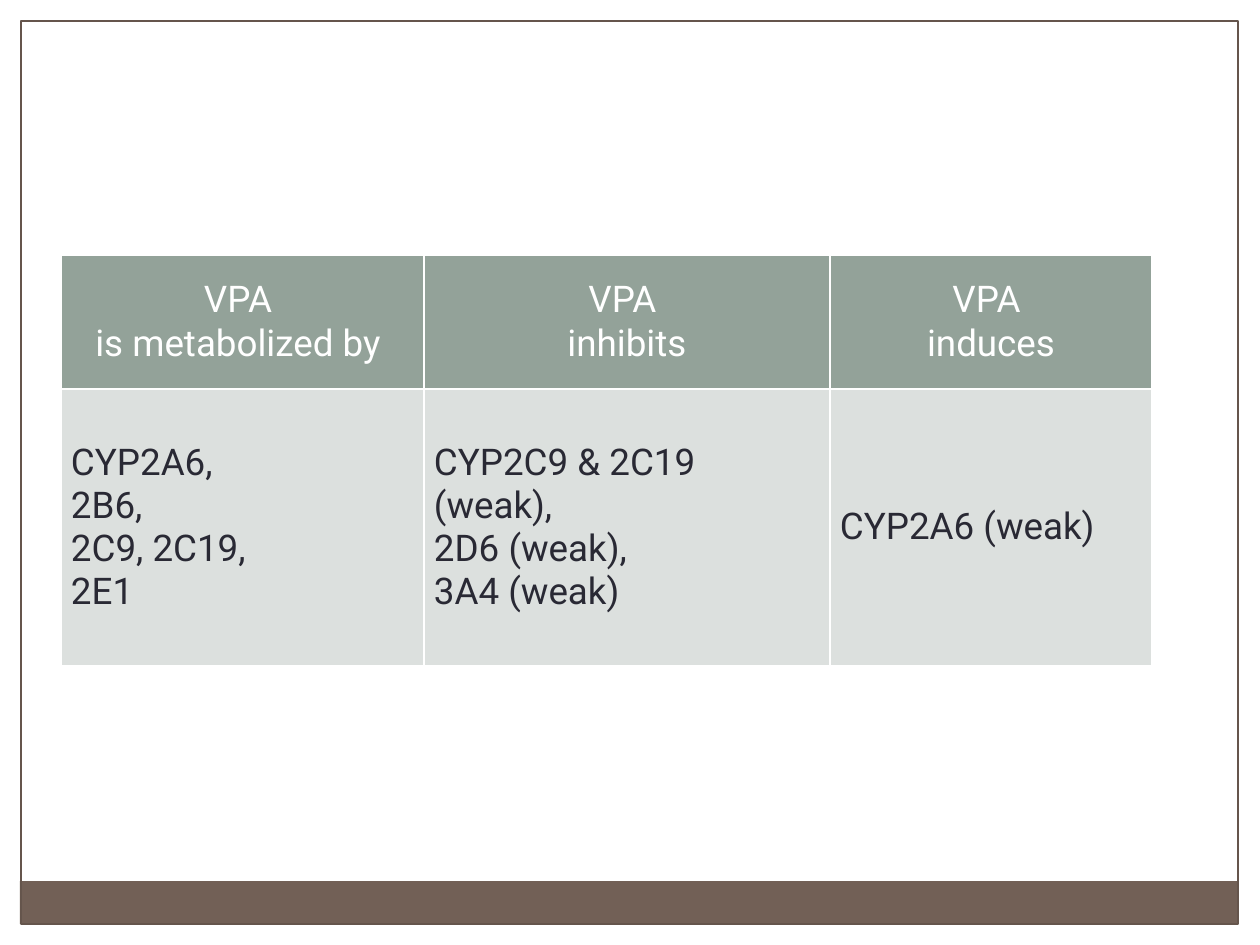
from pptx import Presentation
from pptx.dml.color import RGBColor
from pptx.enum.shapes import MSO_SHAPE as Shape
from pptx.enum.text import MSO_ANCHOR as Anchor, PP_ALIGN as Align
from pptx.oxml import parse_xml
from pptx.oxml.ns import nsdecls
from pptx.util import Emu, Pt

EMU_PER_PX = 914400 / 126
SLIDE_WIDTH, SLIDE_HEIGHT, MARGIN = 1260, 945, 21

WHITE = RGBColor(0xFF, 0xFF, 0xFF)
BROWN = RGBColor(0x72, 0x60, 0x56)
DARK_BROWN = RGBColor(0x65, 0x55, 0x4C)
SAGE = RGBColor(0x93, 0xA2, 0x99)
PALE_SAGE = RGBColor(0xDC, 0xE0, 0xDE)
INK = RGBColor(0x29, 0x29, 0x34)

MARGIN_STRIPS = (
    (0, 0, SLIDE_WIDTH, MARGIN),
    (SLIDE_WIDTH - MARGIN, 0, MARGIN, SLIDE_HEIGHT),
    (0, 0, MARGIN, SLIDE_HEIGHT),
)
COLUMN_WIDTHS = (363, 406, 322)
ROW_HEIGHTS = (134, 277)
ROW_STYLES = (
    {"fill": SAGE, "color": WHITE, "align": Align.CENTER},
    {"fill": PALE_SAGE, "color": INK, "align": Align.LEFT},
)
INTERACTIONS = (
    ("VPA \nis metabolized by ", "VPA \ninhibits", "VPA \ninduces"),
    (
        "CYP2A6,\n2B6,\n2C9, 2C19,\n2E1",
        "CYP2C9 & 2C19  (weak),\n2D6 (weak),\n3A4 (weak)",
        "CYP2A6 (weak)",
    ),
)


def px(length):
    return Emu(round(length * EMU_PER_PX))


def set_attributes(target, values):
    for name, value in values.items():
        setattr(target, name, value)


def add_rectangle(slide, box, fill=None, line=None):
    rectangle = slide.shapes.add_shape(Shape.RECTANGLE, *map(px, box))
    rectangle.shadow.inherit = False
    if fill is None:
        rectangle.fill.background()
    else:
        rectangle.fill.solid()
        rectangle.fill.fore_color.rgb = fill
    if line is None:
        rectangle.line.fill.background()
    else:
        rectangle.line.color.rgb = line
        rectangle.line.width = Pt(0.75)


def add_borders(cell, color, width):
    """Rule all four sides; must run before the cell gets its fill."""
    properties = cell._tc.get_or_add_tcPr()
    for side in "LRTB":
        properties.append(parse_xml(
            f'<a:ln{side} {nsdecls("a")} w="{width}"><a:solidFill>'
            f'<a:srgbClr val="{color}"/></a:solidFill></a:ln{side}>'
        ))


def format_cell(cell, text, fill, color, align):
    cell.text = text
    set_attributes(cell, {
        "vertical_anchor": Anchor.MIDDLE,
        "margin_left": px(10),
        "margin_right": px(10),
        "margin_top": px(5),
        "margin_bottom": px(5),
    })
    add_borders(cell, WHITE, Pt(1))
    cell.fill.solid()
    cell.fill.fore_color.rgb = fill
    for paragraph in cell.text_frame.paragraphs:
        paragraph.alignment = align
        for run in paragraph.runs:
            set_attributes(run.font, {"name": "Roboto", "size": Pt(21), "bold": False})
            run.font.color.rgb = color


def add_interaction_table(slide, left, top):
    table = slide.shapes.add_table(
        len(ROW_HEIGHTS), len(COLUMN_WIDTHS), px(left), px(top),
        px(sum(COLUMN_WIDTHS)), px(sum(ROW_HEIGHTS)),
    ).table
    for column, width in zip(table.columns, COLUMN_WIDTHS):
        column.width = px(width)
    for row, height, texts, style in zip(table.rows, ROW_HEIGHTS, INTERACTIONS, ROW_STYLES):
        row.height = px(height)
        for cell, text in zip(row.cells, texts):
            format_cell(cell, text, **style)


def main():
    deck = Presentation()
    set_attributes(deck, {"slide_width": px(SLIDE_WIDTH), "slide_height": px(SLIDE_HEIGHT)})
    slide = deck.slides.add_slide(deck.slide_layouts[6])
    for strip in MARGIN_STRIPS:
        add_rectangle(slide, strip, fill=WHITE)
    add_rectangle(slide, (20, 881, 1217, 43), fill=BROWN)
    add_rectangle(slide, (MARGIN, MARGIN, 1217, 903), line=DARK_BROWN)
    add_interaction_table(slide, 61, 255)
    deck.save("out.pptx")


if __name__ == "__main__":
    main()
